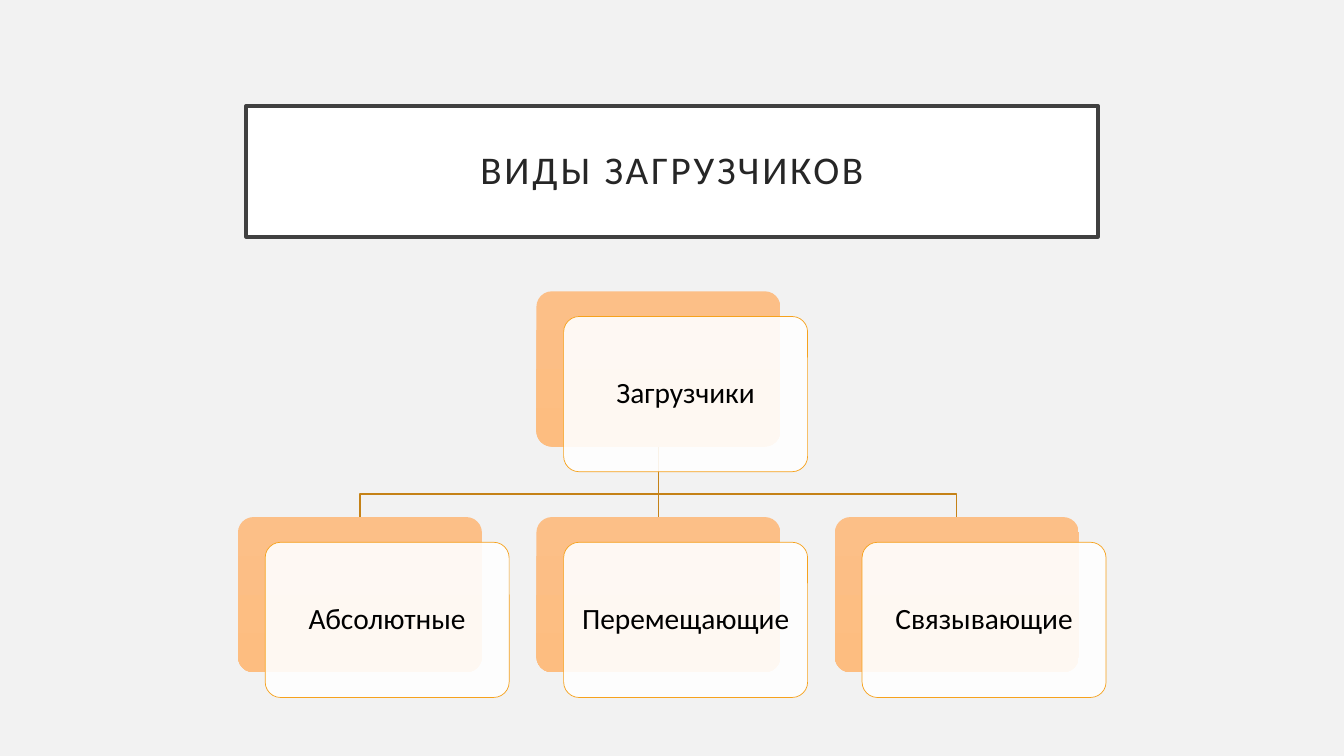
from dataclasses import dataclass

from lxml.etree import SubElement
from pptx import Presentation
from pptx.dml.color import RGBColor
from pptx.enum.shapes import MSO_CONNECTOR as Link, MSO_SHAPE as Preset
from pptx.enum.text import MSO_ANCHOR as Anchor, PP_ALIGN as Align
from pptx.oxml.ns import qn
from pptx.util import Inches, Pt


@dataclass(frozen=True)
class Theme:
    """Colours, font and type sizes of the slide."""
    page: str = "F2F2F2"
    white: str = "FFFFFF"
    frame: str = "404040"
    title: str = "262626"
    label: str = "000000"
    link: str = "C58217"
    edge: str = "F6A21D"
    back: tuple = ("FCBF87", "FDBD80")
    font: str = "Calibri"
    title_size: int = 28
    label_size: int = 21


THEME = Theme()
CARD_W, CARD_H = 2.42, 1.54
SHIFT_X, SHIFT_Y = 0.27, 0.25
COLUMN_STEP = 2.96
ROW_STEP = 2.24
BUS_DROP = 0.47
ROOT = "Загрузчики"
KINDS = ("Абсолютные", "Перемещающие", "Связывающие")


def rgb(code):
    """Turn a hex code into a colour."""
    return RGBColor.from_string(code)


def outline(shape, color, width):
    """Give a shape or connector its line."""
    shape.line.color.rgb = rgb(color)
    shape.line.width = Pt(width)


def add_box(page, preset, box):
    """Add a preset shape without shadow at left, top, width, height."""
    shape = page.shapes.add_shape(preset, *map(Inches, box))
    shape.shadow.inherit = False
    return shape


def write(shape, text, size, color, inset):
    """Write one centred line of text and return its run."""
    frame = shape.text_frame
    margins = {f"margin_{side}": Inches(inset) for side in ("left", "top", "right", "bottom")}
    para = frame.paragraphs[0]
    span = para.add_run()
    formats = (
        (frame, {"word_wrap": True, "vertical_anchor": Anchor.MIDDLE, **margins}),
        (para, {"alignment": Align.CENTER, "line_spacing": 0.9}),
        (span, {"text": text}),
        (span.font, {"name": THEME.font, "size": Pt(size)}),
    )
    for target, values in formats:
        for name, value in values.items():
            setattr(target, name, value)
    span.font.color.rgb = rgb(color)
    return span


def add_title(page, box, text):
    """Draw the framed title with spaced letters."""
    shape = add_box(page, Preset.RECTANGLE, box)
    shape.fill.solid()
    shape.fill.fore_color.rgb = rgb(THEME.white)
    outline(shape, THEME.frame, 2.5)
    span = write(shape, text, THEME.title_size, THEME.title, 0.2)
    span.font._element.set("spc", "200")


def add_card(page, left, top, text):
    """Draw an orange card with a translucent labelled card over it."""
    back = add_box(page, Preset.ROUNDED_RECTANGLE, (left, top, CARD_W, CARD_H))
    front = add_box(page, Preset.ROUNDED_RECTANGLE,
                    (left + SHIFT_X, top + SHIFT_Y, CARD_W, CARD_H))
    for card in (back, front):
        card.adjustments[0] = 0.1
    back.fill.gradient()
    back.fill.gradient_angle = 270
    for stop, color, position in zip(back.fill.gradient_stops, THEME.back, (0, 1)):
        stop.color.rgb = rgb(color)
        stop.position = position
    back.line.fill.background()
    front.fill.solid()
    front.fill.fore_color.rgb = rgb(THEME.white)
    color = front._element.spPr.find(qn("a:solidFill"))[0]
    SubElement(color, qn("a:alpha"), val="90000")
    outline(front, THEME.edge, 0.5)
    write(front, text, THEME.label_size, THEME.label, 0.13)


def add_link(page, start, end):
    """Join two cards, with a bend at the bus when they are not aligned."""
    (x1, y1), (x2, y2) = start, end
    if x1 == x2:
        link = page.shapes.add_connector(Link.STRAIGHT, *map(Inches, (x1, y1, x2, y2)))
        outline(link, THEME.link, 1)
        SubElement(link._element.spPr, qn("a:effectLst"))
        return
    bus = y1 + BUS_DROP
    builder = page.shapes.build_freeform(Inches(x1), Inches(y1))
    bends = ((x1, bus), (x2, bus), (x2, y2))
    builder.add_line_segments([(Inches(x), Inches(y)) for x, y in bends], close=False)
    link = builder.convert_to_shape()
    link.shadow.inherit = False
    link.fill.background()
    outline(link, THEME.link, 1)


def add_tree(page, left, top, root, kinds):
    """Draw the root card above a row of linked cards."""
    columns = [left + COLUMN_STEP * index for index in range(len(kinds))]
    root_left = columns[len(kinds) // 2]
    row_top = top + ROW_STEP
    start = (root_left + CARD_W / 2, top + CARD_H)
    for column in columns:
        add_link(page, start, (column + CARD_W / 2, row_top))
    add_card(page, root_left, top, root)
    for column, kind in zip(columns, kinds):
        add_card(page, column, row_top, kind)


def main():
    """Build the slide and save the deck."""
    deck = Presentation()
    deck.slide_width, deck.slide_height = Inches(13.33), Inches(7.5)
    page = deck.slides.add_slide(deck.slide_layouts[6])
    page.background.fill.solid()
    page.background.fill.fore_color.rgb = rgb(THEME.page)
    add_title(page, (2.44, 1.05, 8.45, 1.3), "ВИДЫ ЗАГРУЗЧИКОВ")
    add_tree(page, 2.36, 2.89, ROOT, KINDS)
    deck.save("out.pptx")


if __name__ == "__main__":
    main()
